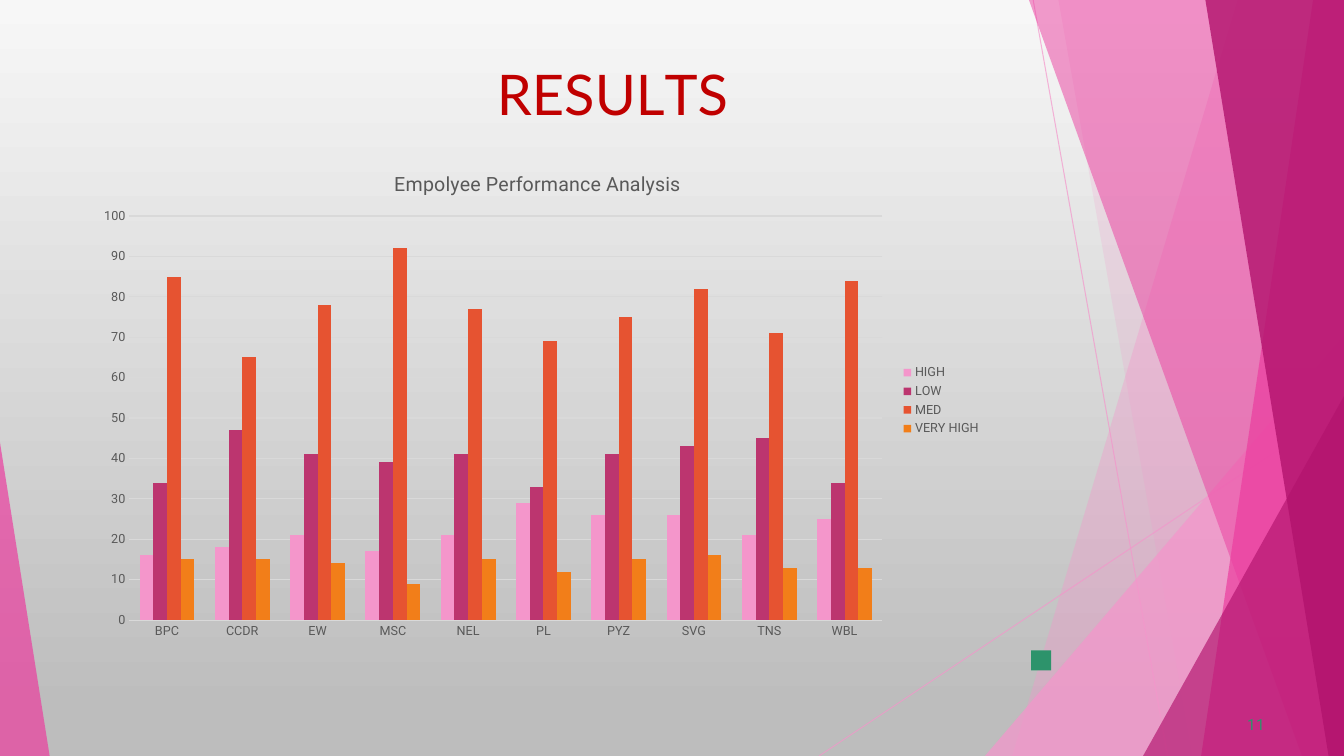
"""Build the results slide with its clustered column chart of performance ratings."""
from lxml.etree import SubElement
from pptx import Presentation
from pptx.chart.data import CategoryChartData
from pptx.dml.color import RGBColor
from pptx.enum.chart import XL_CHART_TYPE as ChartType, XL_LEGEND_POSITION as LegendPosition
from pptx.enum.chart import XL_TICK_MARK as TickMark
from pptx.enum.shapes import MSO_CONNECTOR as Connector, MSO_SHAPE as Preset
from pptx.enum.text import MSO_ANCHOR as Anchor, MSO_AUTO_SIZE as AutoSize, PP_ALIGN as Align
from pptx.oxml import parse_xml
from pptx.oxml.ns import nsdecls, qn
from pptx.util import Pt

THEME = {
    "pink": "F496CB", "rose": "EB3D9F", "plum": "B2136D", "green": "2D936B",
    "red": "C00000", "gray": "595959", "grid": "D9D9D9",
    "background": ("F7F7F7", "BDBDBD"),
    "series": ("F496CB", "BC356F", "E65331", "F27E19"),
    "title": 40, "number": 11, "chart": 10, "chart title": 14, "label": 9,
    "title font": "Lato", "body font": "Roboto",
}


def paint(fill, color, opacity=100):
    """Apply a solid colour with the given opacity in percent."""
    fill.solid()
    fill.fore_color.rgb = RGBColor.from_string(THEME.get(color, color))
    if opacity < 100:
        solid = fill._xPr.find(qn("a:solidFill"))
        SubElement(solid[0], qn("a:alpha"), val=str(opacity * 1000))


def style(font, size, color, name="body font"):
    """Set the size, colour and typeface of a font."""
    values = {"size": Pt(THEME[size]), "name": THEME[name], "bold": False}
    for attribute, value in values.items():
        setattr(font, attribute, value)
    paint(font.fill, color)


presentation = Presentation()
presentation.slide_width, presentation.slide_height = Pt(960), Pt(540)
slide = presentation.slides.add_slide(presentation.slide_layouts[5])
shapes = slide.shapes

background = slide.background.fill
background.gradient()
background.gradient_angle = 270
for stop, color, position in zip(background.gradient_stops, THEME["background"], (0, 0.94)):
    stop.color.rgb = RGBColor.from_string(color)
    stop.position = position

for ends in ((738, 0, 834, 540), (960, 290, 585, 540)):
    connector = shapes.add_connector(Connector.STRAIGHT, *map(Pt, ends))
    connector.line.width = Pt(0.75)
    paint(connector.line.fill, "pink", 70)
    SubElement(connector._element.spPr, qn("a:effectLst"))

decorations = [
    ("ribbon", (884, 723), "pink", 36),
    ("ribbon", (756, 852), "pink", 20),
    ("triangle", (703.5, 240, 256.5, 300, 1), "pink", 72),
    ("ribbon", (735, 930), "rose", 50),
    ("ribbon", (938, 858), "rose", 70),
    ("ribbon", (861, 949), "plum", 80),
    ("triangle", (816.5, 283, 143.5, 257, 1), "plum", 66),
    ("triangle", (0, 316, 35.5, 224, 0), "rose", 70),
    ("square", (736.5, 464.5, 14.4, 14.4), "green", 100),
]
for kind, geometry, color, opacity in decorations:
    if kind == "ribbon":
        top, bottom = geometry
        builder = shapes.build_freeform(top, 0, scale=Pt(1))
        builder.add_line_segments([(960, 0), (960, 540), (bottom, 540)])
        shape = builder.convert_to_shape()
    else:
        preset = Preset.ISOSCELES_TRIANGLE if kind == "triangle" else Preset.RECTANGLE
        shape = shapes.add_shape(preset, *map(Pt, geometry[:4]))
        if kind == "triangle":
            shape.adjustments[0] = geometry[4]
    shape.shadow.inherit = False
    shape.line.fill.background()
    paint(shape.fill, color, opacity)

title = shapes.title
number = shapes.add_textbox(0, 0, 0, 0)
title_runs = [("R", 0), ("E", -0.4), ("S", 0.1), ("U", -0.3), ("L", -4), ("TS", 0)]
text_items = [
    (title, (354.2, 41.8, 246, 50), title_runs, ("title", "red", "title font"), 0.75, 1.1),
    (number, (888, 510, 18, 15), [("11", 0.1)], ("number", "green"), 2.9, 0.6),
]
for shape, box, runs, look, indent, space in text_items:
    shape.left, shape.top, shape.width, shape.height = map(Pt, box)
    frame = shape.text_frame
    formats = {
        "margin_left": Pt(indent), "margin_right": 0, "margin_top": Pt(0.75),
        "margin_bottom": 0, "word_wrap": True, "auto_size": AutoSize.NONE,
        "vertical_anchor": Anchor.TOP,
    }
    for attribute, value in formats.items():
        setattr(frame, attribute, value)
    paragraph = frame.paragraphs[0]
    paragraph.alignment = Align.LEFT
    paragraph.space_before = Pt(space)
    for text, spacing in runs:
        run = paragraph.add_run()
        run.text = text
        style(run.font, *look)
        run._r.get_or_add_rPr().set("spc", str(round(spacing * 100)))

ratings = {
    "HIGH": (16, 18, 21, 17, 21, 29, 26, 26, 21, 25),
    "LOW": (34, 47, 41, 39, 41, 33, 41, 43, 45, 34),
    "MED": (85, 65, 78, 92, 77, 69, 75, 82, 71, 84),
    "VERY HIGH": (15, 15, 14, 9, 15, 12, 15, 16, 13, 13),
}
data = CategoryChartData()
data.categories = ["BPC", "CCDR", "EW", "MSC", "NEL", "PL", "PYZ", "SVG", "TNS", "WBL"]
for name, values in ratings.items():
    data.add_series(name, values)
chart_box = map(Pt, (60, 108, 648, 356.4))
chart = shapes.add_chart(ChartType.COLUMN_CLUSTERED, *chart_box, data).chart
style(chart.font, "chart", "gray")

chart.has_title = True
chart.chart_title.include_in_layout = False
heading = chart.chart_title.text_frame.paragraphs[0].add_run()
heading.text = "Empolyee Performance Analysis"
style(heading.font, "chart title", "gray")

chart.has_legend = True
chart.legend.position = LegendPosition.RIGHT
chart.legend.include_in_layout = False
style(chart.legend.font, "label", "gray")

plot = chart.plots[0]
plot.gap_width = 150
plot.overlap = 0
plot.vary_by_categories = False
for series, color in zip(plot.series, THEME["series"]):
    paint(series.format.fill, color)

for axis in (chart.category_axis, chart.value_axis):
    axis.major_tick_mark = axis.minor_tick_mark = TickMark.NONE
    axis.format.line.fill.background()
    style(axis.tick_labels.font, "label", "gray")
scale = {"minimum_scale": 0, "maximum_scale": 100, "major_unit": 10, "has_major_gridlines": True}
for attribute, value in scale.items():
    setattr(chart.value_axis, attribute, value)
gridline = chart.value_axis.major_gridlines.format.line
gridline.width = Pt(0.75)
paint(gridline.fill, "grid")

plot_area = chart._chartSpace.chart.plotArea
for layout in plot_area.findall(qn("c:layout")):
    plot_area.remove(layout)
layout = parse_xml(f"<c:layout {nsdecls('c')}><c:manualLayout/></c:layout>")
placement = {
    "layoutTarget": "inner", "xMode": "edge", "yMode": "edge",
    "x": 0.05, "y": 0.13, "w": 0.83, "h": 0.81,
}
for tag, value in placement.items():
    SubElement(layout[0], qn(f"c:{tag}"), val=str(value))
plot_area.insert(0, layout)

presentation.save("out.pptx")
